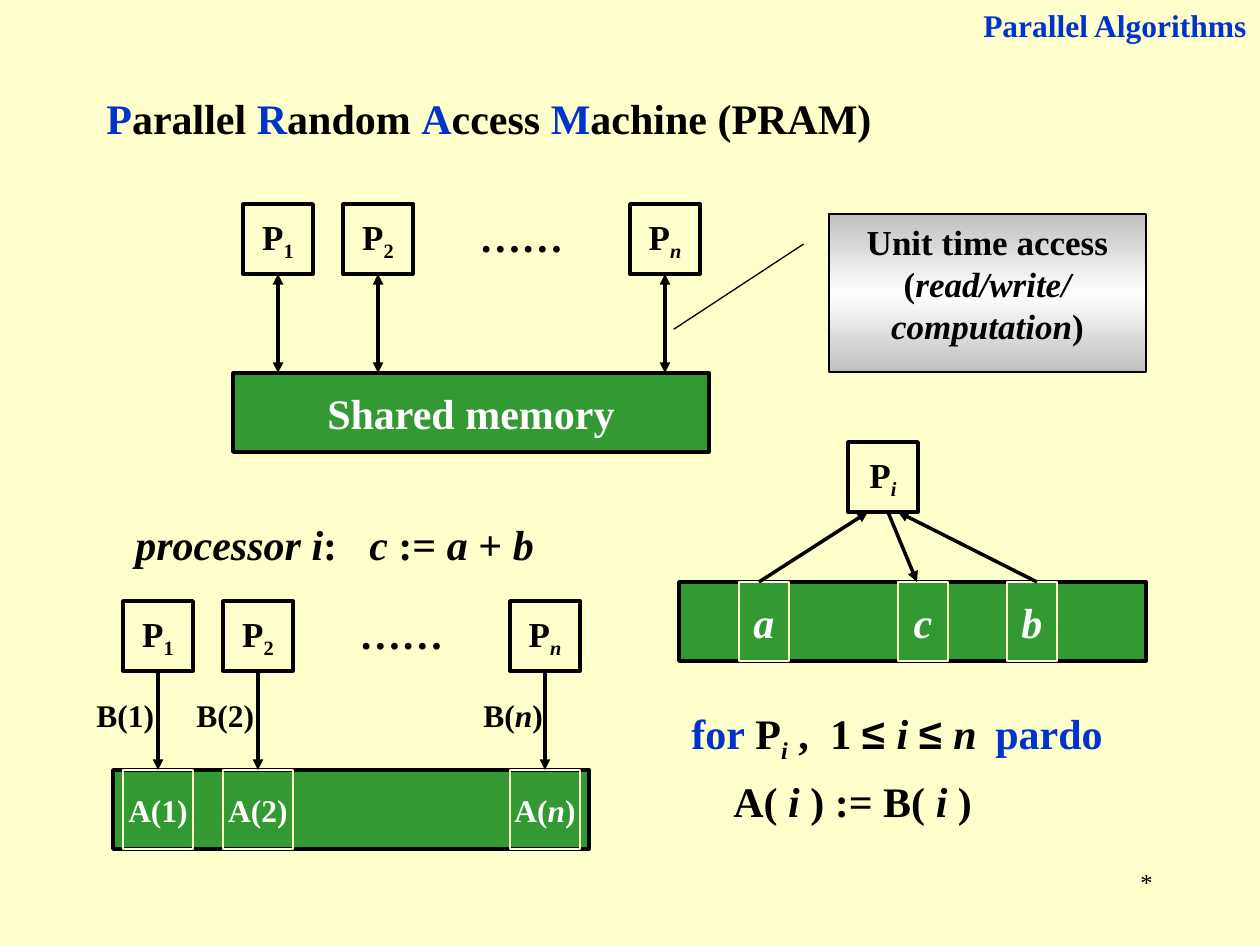
from collections import namedtuple
from copy import deepcopy

from lxml.etree import SubElement
from pptx import Presentation
from pptx.dml.color import RGBColor
from pptx.enum.shapes import MSO_CONNECTOR as Connector, MSO_SHAPE as Preset
from pptx.enum.text import MSO_ANCHOR as Anchor, PP_ALIGN as Align
from pptx.oxml.ns import qn
from pptx.util import Emu, Pt

Box = namedtuple("Box", "left top width height")
COLORS = {
    "cream": "FFFFCC",
    "blue": "0033CC",
    "black": "000000",
    "green": "339933",
    "white": "FFFFFF",
    "silver": "C0C0C0",
}
SQUARE = 70
MEMORY_HEIGHT = 79
PROCESSOR_LEFTS = (10, 110, 397)
INDEXES = (["1"], ["2"], [("n", "italic")])


def px(length):
    return Emu(round(length * 914400 / 126))


def color(name):
    return RGBColor.from_string(COLORS[name])


def add_span(para, text, *styles):
    span = para.add_run()
    span.text = text
    if "italic" in styles:
        span.font.italic = True
    if "sub" in styles:
        span._r.get_or_add_rPr().set("baseline", "-25000")
    if "blue" in styles:
        span.font.color.rgb = color("blue")
    if "arial" in styles:
        span.font.name = "Arial"


def write(shape, lines, size, ink="black", align=Align.LEFT, bold=True, tabs=()):
    frame = shape.text_frame
    for number, line in enumerate(lines):
        para = frame.add_paragraph() if number else frame.paragraphs[0]
        para.alignment = align
        if tabs and number == 0:
            stops = SubElement(para._p.get_or_add_pPr(), qn("a:tabLst"))
            for stop in tabs:
                SubElement(stops, qn("a:tab"), pos=str(px(stop)), algn="l")
        para.font.name = "Times New Roman"
        para.font.size = Pt(size)
        para.font.bold = bold
        para.font.color.rgb = color(ink)
        for span in line:
            add_span(para, *([span] if isinstance(span, str) else span))


def add_text(page, box, lines, size, **looks):
    shape = page.shapes.add_textbox(*map(px, box))
    shape.text_frame.word_wrap = True
    write(shape, lines, size, **looks)
    return shape


def add_box(page, box, line="black", weight=2, fill=None, preset=Preset.RECTANGLE):
    shape = page.shapes.add_shape(preset, *map(px, box))
    shape.shadow.inherit = False
    if fill:
        shape.fill.solid()
        shape.fill.fore_color.rgb = color(fill)
    else:
        shape.fill.background()
    shape.line.color.rgb = color(line)
    shape.line.width = Pt(weight)
    shape.text_frame.word_wrap = False
    shape.text_frame.vertical_anchor = Anchor.MIDDLE
    return shape


def add_arrow(page, start, end, both=False):
    arrow = page.shapes.add_connector(Connector.STRAIGHT, *map(px, start + end))
    arrow.line.color.rgb = color("black")
    arrow.line.width = Pt(2)
    outline = arrow.line._get_or_add_ln()
    for tag in ("a:headEnd", "a:tailEnd") if both else ("a:tailEnd",):
        SubElement(outline, qn(tag), type="triangle")
    SubElement(arrow._element.spPr, qn("a:effectLst"))
    return arrow


def add_processor(page, left, top, index):
    shape = add_box(page, Box(left, top, SQUARE, SQUARE))
    write(shape, [["P", index]], 20, align=Align.CENTER)
    return shape


def add_machine(page, box):
    processors = []
    for offset, (index,) in zip(PROCESSOR_LEFTS, INDEXES):
        styled = (index, "sub") if isinstance(index, str) else (*index, "sub")
        processors.append(add_processor(page, box.left + offset, box.top, styled))
    add_text(page, Box(box.left + 209, box.top, 159, 63), [["……"]], 24, align=Align.CENTER)
    bottom = box.top + box.height
    memory = add_box(page, Box(box.left, bottom - MEMORY_HEIGHT, box.width, MEMORY_HEIGHT), fill="green")
    return processors, memory


def add_drop(page, processor, box, offset, both=False):
    middle = box.left + offset + SQUARE // 2
    start = (middle, box.top + SQUARE)
    arrow = add_arrow(page, start, (middle, box.top + box.height - MEMORY_HEIGHT), both)
    arrow.begin_connect(processor, 2)
    return arrow


def add_shared_memory(page, box):
    processors, memory = add_machine(page, box)
    write(memory, [["Shared memory"]], 24, "white", Align.CENTER)
    for processor, offset in zip(processors, PROCESSOR_LEFTS):
        add_drop(page, processor, box, offset, both=True)


def add_array_copy(page, box):
    processors, _ = add_machine(page, box)
    cell_top = box.top + box.height - MEMORY_HEIGHT
    for processor, offset, index in zip(processors, PROCESSOR_LEFTS, INDEXES):
        left = box.left + offset
        cell = add_box(page, Box(left, cell_top, SQUARE, MEMORY_HEIGHT), "cream", 1)
        write(cell, [["A(", *index, ")"]], 18, "white", Align.CENTER)
        add_drop(page, processor, box, offset).end_connect(cell, 0)
        add_text(page, Box(left - 39, box.top + 89, 89, 50), [["B(", *index, ")"]], 18)


def add_callout(page, box):
    callout = add_box(page, box, weight=0.75, preset=Preset.LINE_CALLOUT_1)
    for number, value in enumerate((0.19, -0.08, 0.73, -0.49)):
        callout.adjustments[number] = value
    callout.fill.gradient()
    callout.fill.gradient_angle = 90
    stops = callout._element.spPr.find(".//" + qn("a:gsLst"))
    stops.append(deepcopy(stops[0]))
    for number, (stop, name) in enumerate(zip(callout.fill.gradient_stops, ("silver", "white", "silver"))):
        stop.color.rgb = color(name)
        stop.position = number / 2
    callout.text_frame.word_wrap = True
    callout.text_frame.vertical_anchor = Anchor.TOP
    lines = [["Unit time access"], ["(", ("read/write/", "italic")], [("computation", "italic"), ")"]]
    write(callout, lines, 20, align=Align.CENTER)


def add_sum_example(page, box):
    add_processor(page, box.left + 169, box.top, ("i", "italic", "sub"))
    top = box.top + box.height - MEMORY_HEIGHT
    add_box(page, Box(box.left, top, box.width, MEMORY_HEIGHT), fill="green")
    for name, offset in (("a", 60), ("b", 328), ("c", 219)):
        cell = add_box(page, Box(box.left + offset, top, 50, MEMORY_HEIGHT), "cream", 1, "green")
        write(cell, [[(name, "italic")]], 24, "white", Align.CENTER)
    low, high = top, box.top + SQUARE
    for start, end in (((80, low), (189, high)), ((358, low), (219, high)), ((209, high), (238, low))):
        add_arrow(page, (box.left + start[0], start[1]), (box.left + end[0], end[1]))


def add_header(page, box):
    add_text(page, Box(box.left + 927, box.top, 332, 50), [["Parallel Algorithms"]], 18, ink="blue", align=Align.RIGHT)
    words = ("Parallel ", "Random ", "Access ", "Machine (PRAM)")
    title = [span for word in words for span in ((word[0], "blue"), word[1:])]
    add_text(page, Box(box.left + 94, box.top + 86, 963, 63), [title], 24)


def add_statement(page, box):
    line = [("processor i", "italic"), ":\t", ("c ", "italic"), ":=", (" a ", "italic"), "+", (" b", "italic")]
    add_text(page, box, [line], 24, tabs=[234])


def add_loop(page, box):
    loop = [("for", "blue"), " P", ("i", "italic", "sub"), " ,\t1 ", ("≤ ", "arial"), ("i ", "italic"),
            ("≤ ", "arial"), ("n", "italic"), ("\tpardo", "blue")]
    body = ["A( ", ("i ", "italic"), ") := B( ", ("i", "italic"), " )"]
    shape = add_text(page, box, [loop, body], 24, tabs=[139, 304])
    para = shape.text_frame.paragraphs[1]
    para.space_before = Pt(6)
    para._p.get_or_add_pPr().set("marL", str(px(42)))


def main():
    deck = Presentation()
    deck.slide_width, deck.slide_height = px(1260), px(945)
    page = deck.slides.add_slide(deck.slide_layouts[6])
    page.background.fill.solid()
    page.background.fill.fore_color.rgb = color("cream")
    add_text(page, Box(903, 861, 262, 63), [["*"]], 14, align=Align.RIGHT, bold=False)
    add_header(page, Box(0, 0, 1260, 149))
    add_shared_memory(page, Box(233, 204, 476, 248))
    add_callout(page, Box(829, 214, 317, 158))
    add_statement(page, Box(123, 512, 476, 63))
    add_sum_example(page, Box(679, 442, 467, 219))
    add_loop(page, Box(679, 701, 476, 131))
    add_array_copy(page, Box(113, 601, 476, 248))
    deck.save("out.pptx")


if __name__ == "__main__":
    main()
